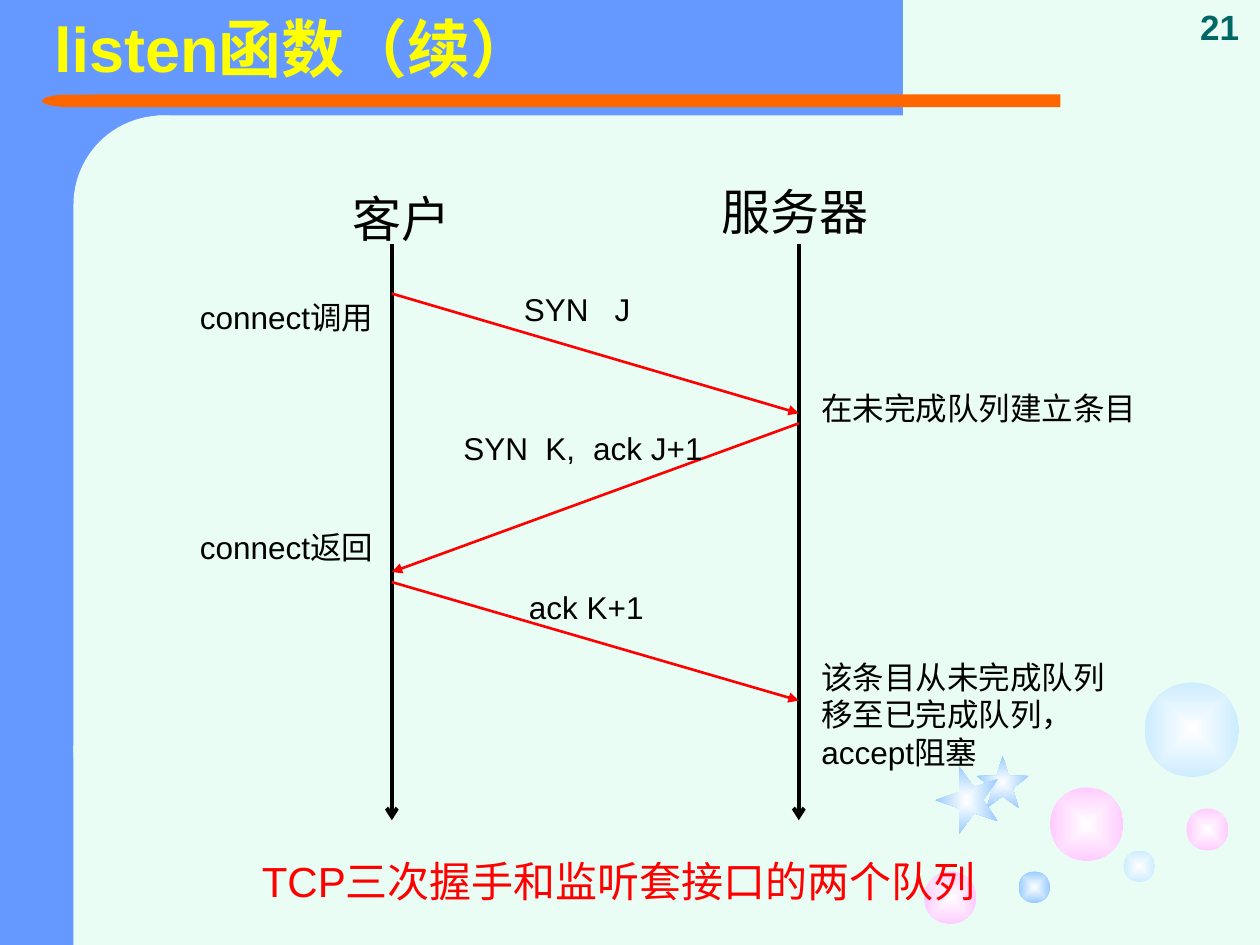
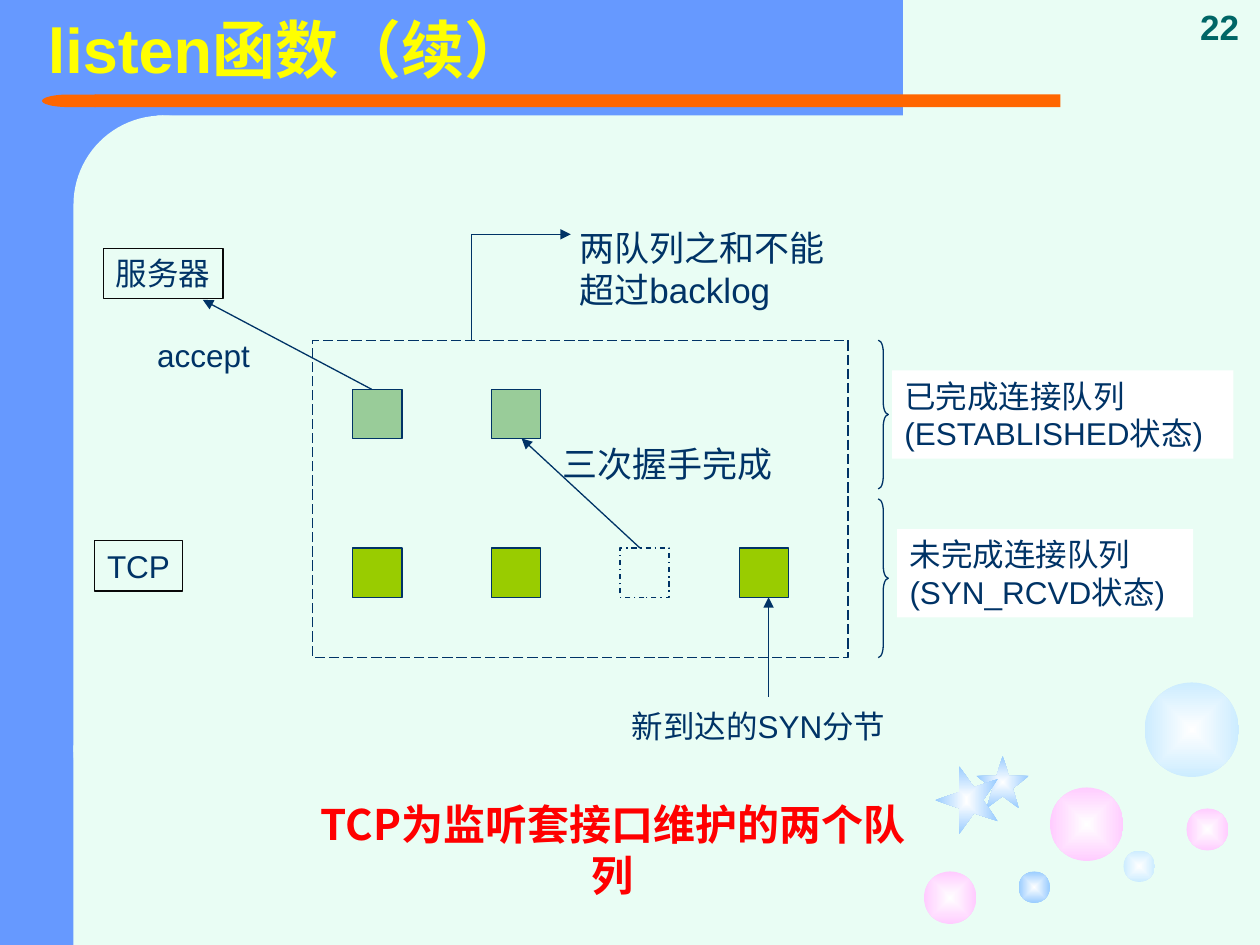
from lxml.etree import SubElement
from pptx import Presentation
from pptx.dml.color import RGBColor
from pptx.enum.dml import MSO_LINE
from pptx.enum.shapes import MSO_CONNECTOR, MSO_SHAPE
from pptx.enum.text import MSO_ANCHOR, MSO_AUTO_SIZE, PP_ALIGN
from pptx.oxml.ns import qn
from pptx.util import Inches, Pt

HUE = {
    "mint": "E9FDF4", "blue": "6699FF", "fire": "FF6600", "gold": "FFFF00",
    "white": "FFFFFF", "pink": "FFCCFF", "pale": "CCECFF", "sky": "99CCFF",
    "black": "000000", "red": "FF0000", "teal": "006666", "navy": "003366",
    "sage": "99CC99", "lime": "99CC00", "coal": "080808",
}
RGB = {name: RGBColor.from_string(code) for name, code in HUE.items()}
SANS, CJK = "Arial", "Noto Sans CJK JP"
LEFT, MID, RIGHT = PP_ALIGN.LEFT, PP_ALIGN.CENTER, PP_ALIGN.RIGHT
RECT, BALL, STAR = MSO_SHAPE.RECTANGLE, MSO_SHAPE.OVAL, MSO_SHAPE.STAR_5_POINT

deck = Presentation()
deck.slide_width, deck.slide_height = Inches(10), Inches(7.5)
CELL = deck.slide_width / 100


def put(page, kind, spot, fill=None, edge=None, dash=None):
    shape = page.shapes.add_shape(kind, *[int(n * CELL) for n in spot])
    shape.shadow.inherit = False
    if fill:
        shape.fill.solid()
        shape.fill.fore_color.rgb = RGB[fill]
    else:
        shape.fill.background()
    if edge:
        shape.line.color.rgb = RGB[edge]
        shape.line.width = Pt(0.75)
        shape.line.dash_style = dash
    else:
        shape.line.fill.background()
    return shape


def write(frame, rows, size, hue, align=LEFT, bold=False, face=SANS, tabs=()):
    for i, row in enumerate(rows):
        para = frame.paragraphs[0] if i == 0 else frame.add_paragraph()
        para.alignment = align
        if tabs:
            stops = SubElement(para._p.get_or_add_pPr(), qn("a:tabLst"))
            for stop in tabs:
                SubElement(stops, qn("a:tab"), pos=str(int(stop * CELL)), algn="l")
        run = para.add_run()
        run.text = row
        run.font.name, run.font.size, run.font.bold = face, Pt(size), bold
        run.font.color.rgb = RGB[hue]
        SubElement(run._r.get_or_add_rPr(), qn("a:ea"), typeface=CJK)


plan = deck.slide_layouts[5]
plan.background.fill.solid()
plan.background.fill.fore_color.rgb = RGB["mint"]
shake, queue = [deck.slides.add_slide(plan) for _ in range(2)]

bands = [
    (RECT, (0, 0, 15, 90), "blue", 0),
    (RECT, (6, 0, 80, 11), "blue", 0),
    (MSO_SHAPE.ROUNDED_RECTANGLE, (7, 11, 17, 69), "mint", 0),
    (RECT, (9, 9, 92, 1.2), "fire", 0),
    (MSO_SHAPE.FLOWCHART_DELAY, (4, 9, 5.1, 1.2), "fire", 180),
    (RECT, (7, 71, 17, 19), "mint", 0),
]
gems = [
    (BALL, (100, 75, 7, 7), "pink", 0),
    (BALL, (88, 83, 5, 5), "pink", 0),
    (BALL, (107, 81, 3, 3), "pale", 0),
    (BALL, (113, 77, 4, 4), "pink", 0),
    (BALL, (109, 65, 9, 9), "pale", 0),
    (BALL, (97, 83, 3, 3), "sky", 0),
    (STAR, (93, 72, 5, 5), "sky", 0),
    (STAR, (88.8, 73.2, 6.5, 6), "sky", 270),
]
for kind, spot, hue, turn in bands + gems:
    shape = put(shake, kind, [n * 10 / 12 for n in spot], hue)
    shape.rotation = turn
    if kind == MSO_SHAPE.ROUNDED_RECTANGLE:
        shape.adjustments[0] = 0.5
    if kind in (BALL, STAR):
        flat = shape._element.spPr.find(qn("a:solidFill"))
        glow = flat.makeelement(qn("a:gradFill"), {"rotWithShape": "1"})
        stops = SubElement(glow, qn("a:gsLst"))
        for pos, tint in (("0", "white"), ("100000", hue)):
            stop = SubElement(stops, qn("a:gs"), pos=pos)
            SubElement(stop, qn("a:srgbClr"), val=HUE[tint])
        fade = SubElement(glow, qn("a:path"), path="rect")
        SubElement(fade, qn("a:fillToRect"), l="50000", t="50000", r="50000", b="50000")
        flat.getparent().replace(flat, glow)
    plan.shapes.element.append(shape._element)

for page, spot, count in (
    (shake, (3.3, 0, 84.2, 8.3), "21"),
    (queue, (2.8, 0.1, 81.7, 8.3), "22"),
):
    title = page.shapes.title
    title.left, title.top, title.width, title.height = [int(n * CELL) for n in spot]
    frame = title.text_frame
    frame.auto_size = MSO_AUTO_SIZE.NONE
    frame.vertical_anchor = MSO_ANCHOR.MIDDLE
    write(frame, ["listen函数（续）"], 36, "gold", bold=True)
    frame.paragraphs[0].line_spacing = 0.9
    box = page.shapes.add_textbox(*[int(n * CELL) for n in (93.6, 0, 6.4, 4.3)])
    box.text_frame.word_wrap = True
    box.text_frame.vertical_anchor = MSO_ANCHOR.BOTTOM
    write(box.text_frame, [count], 20, "teal", MID, True)

SIDE, TOP, LOW = 3.9, 30.9, 43.5
for x, y, fill, dash in (
    (28, TOP, "sage", None), (39, TOP, "sage", None),
    (28, LOW, "lime", None), (39, LOW, "lime", None),
    (49.2, LOW, None, MSO_LINE.DASH_DOT), (58.7, LOW, "lime", None),
):
    put(queue, RECT, (x, y, SIDE, SIDE), fill, "navy", dash)
put(queue, RECT, (24.8, 27, 42.5, 25.2), None, "navy", MSO_LINE.LONG_DASH)
for y, tall in ((27, 11.8), (39.6, 12.6)):
    brace = put(queue, MSO_SHAPE.RIGHT_BRACE, (69.7, y, 0.8, tall), None, "navy")
    brace.adjustments[0] = 1.2

USER, HOST = 31.1, 63.4
wires = [
    (shake, (USER, 19.4, USER, 65.1), "black", 2.25, "arrow"),
    (shake, (HOST, 19.4, HOST, 65.1), "black", 2.25, "arrow"),
    (shake, (USER, 23.3, HOST, 32.8), "red", 1.5, "triangle"),
    (shake, (USER, 46.2, HOST, 55.6), "red", 1.5, "triangle"),
    (shake, (HOST, 33.6, USER, 45.4), "red", 1.5, "triangle"),
    (queue, (50.8, LOW, 41.4, TOP + SIDE), "navy", 0.75, "triangle"),
    (queue, (37.4, 27, 37.4, 18.6), "navy", 0.75, None),
    (queue, (37.4, 18.6, 45.3, 18.6), "navy", 0.75, "triangle"),
    (queue, (61, 55.3, 61, LOW + SIDE), "navy", 0.75, "triangle"),
    (queue, (29.5, TOP, 16.1, 23.8), "navy", 0.75, "triangle"),
]
for page, ends, hue, weight, tip in wires:
    wire = page.shapes.add_connector(MSO_CONNECTOR.STRAIGHT, *[int(n * CELL) for n in ends])
    wire.line.color.rgb = RGB[hue]
    wire.line.width = Pt(weight)
    if tip:
        SubElement(wire.line._get_or_add_ln(), qn("a:tailEnd"), type=tip)
    SubElement(wire._element.spPr, qn("a:effectLst"))

for spot, text, size, hue, align, tabs in (
    ((27, 14.5, 12, 5.7), "客户", 28, "black", LEFT, ()),
    ((56.3, 13.9, 16, 5.7), "服务器", 28, "black", LEFT, ()),
    ((9, 23.2, 21.6, 4), "connect调用", 18, "black", RIGHT, ()),
    ((9, 41.4, 21.6, 4), "connect返回", 18, "black", RIGHT, ()),
    ((64.2, 30.4, 28.4, 4), "在未完成队列建立条目", 18, "black", LEFT, ()),
    ((40.6, 22.5, 21.6, 4), "SYN\tJ", 18, "black", LEFT, (7.2,)),
    ((35.8, 33.6, 21.6, 4), "SYN\tK,\tack J+1", 18, "black", LEFT, (6.5, 10.3)),
    ((41, 46.2, 21.6, 4), "ack K+1", 18, "black", LEFT, ()),
    ((64.2, 51.7, 26, 10), "该条目从未完成队列移至已完成队列，accept阻塞", 18, "black", LEFT, ()),
    ((19.8, 67.4, 61.6, 5), "TCP三次握手和监听套接口的两个队列", 24, "red", LEFT, ()),
):
    box = shake.shapes.add_textbox(*[int(n * CELL) for n in spot])
    box.text_frame.word_wrap = True
    write(box.text_frame, [text], size, hue, align, tabs=tabs)

for spot, rows, size, align, fill, edge, wrap in (
    ((42.5, 34.6, 21, 4.4), ["三次握手完成"], 20, MID, None, None, False),
    ((45, 17.5, 23.6, 7.7), ["两队列之和不能", "超过backlog"], 20, LEFT, None, None, True),
    ((70.8, 29.4, 27.1, 7), ["已完成连接队列", "(ESTABLISHED状态)"], 18, LEFT, "white", None, False),
    ((71.2, 42, 23.5, 7), ["未完成连接队列", "(SYN_RCVD状态)"], 18, LEFT, "white", None, False),
    ((46.6, 55.6, 27.2, 4), ["新到达的SYN分节"], 18, MID, None, None, False),
    ((8.2, 19.7, 9.5, 4), ["服务器"], 18, MID, None, "coal", False),
    ((7.5, 42.9, 7, 4), ["TCP"], 18, MID, None, "coal", False),
    ((10.1, 26.2, 12.1, 4), ["accept"], 18, MID, None, None, False),
):
    box = queue.shapes.add_textbox(*[int(n * CELL) for n in spot])
    box.text_frame.word_wrap = wrap
    if fill:
        box.fill.solid()
        box.fill.fore_color.rgb = RGB[fill]
    if edge:
        box.line.color.rgb = RGB[edge]
        box.line.width = Pt(0.75)
    write(box.text_frame, rows, size, "navy", align)

foot = queue.shapes.add_textbox(*[int(n * CELL) for n in (23, 62.9, 51.3, 5)])
foot.text_frame.word_wrap = True
write(foot.text_frame, ["TCP为监听套接口维护的两个队列"], 24, "red", MID, True, CJK)

deck.save("out.pptx")
